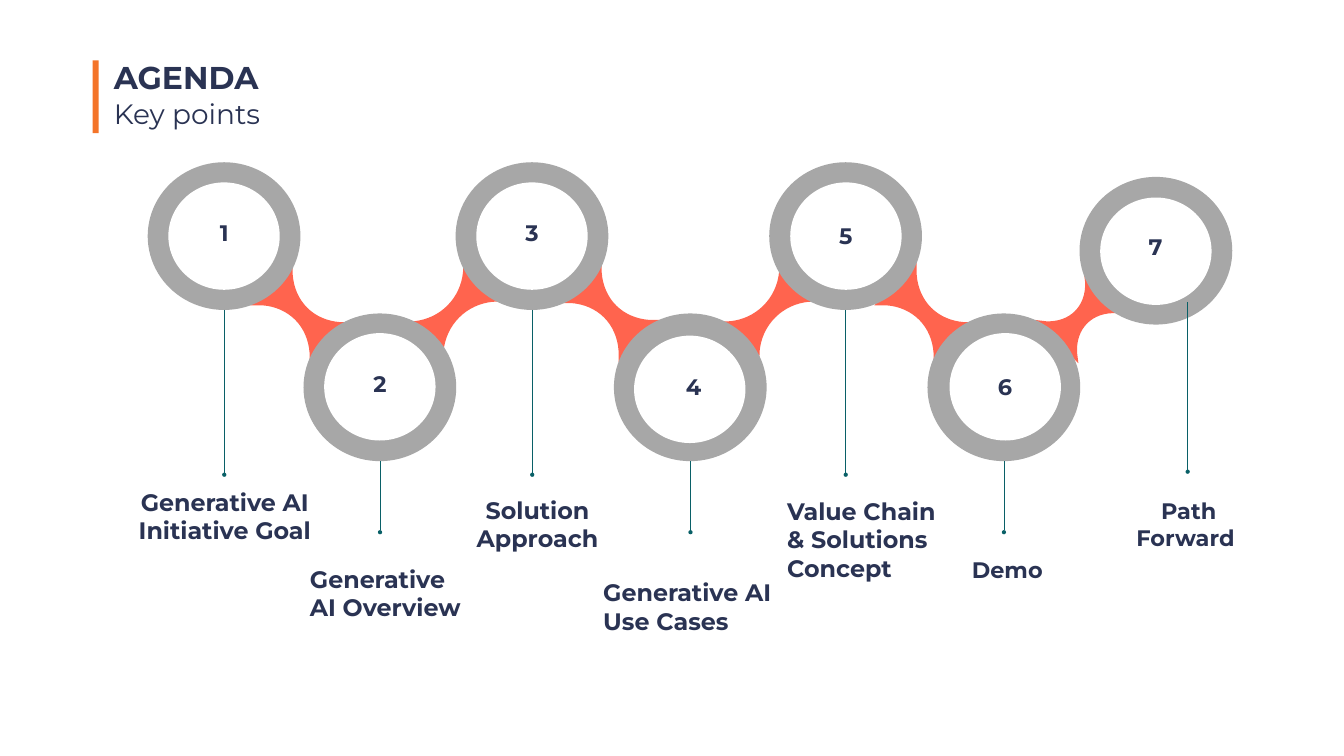
import pptx
import pptx.dml.color
import pptx.enum.shapes
import pptx.enum.text
import pptx.oxml
import pptx.oxml.ns
import pptx.util
from pptx.util import Pt

NAVY, ORANGE, CORAL = "2A3353", "F47429", "FF644E"
GREY, WHITE, TEAL = "A7A7A7", "FFFFFF", "096067"
SHAPES = pptx.enum.shapes.MSO_SHAPE
ALIGN = pptx.enum.text.PP_ALIGN
ANCHOR = pptx.enum.text.MSO_ANCHOR


def paint(shape, color):
    shape.shadow.inherit = False
    shape.fill.solid()
    shape.fill.fore_color.rgb = pptx.dml.color.RGBColor.from_string(color)
    shape.line.fill.background()


def add_text(left, top, width, height, lines, size, bold=True, align=ALIGN.LEFT,
             inset=0, wrap=True, spacing=1.0):
    frame = slide.shapes.add_textbox(Pt(left), Pt(top), Pt(width), Pt(height)).text_frame
    frame.word_wrap = wrap
    frame.vertical_anchor = ANCHOR.MIDDLE
    frame.margin_left = frame.margin_right = Pt(inset)
    frame.margin_top = frame.margin_bottom = Pt(inset)
    frame.text = lines
    for paragraph in frame.paragraphs:
        paragraph.alignment = align
        paragraph.line_spacing = spacing
        paragraph.font.name = "Montserrat"
        paragraph.font.size = Pt(size)
        paragraph.font.bold = bold
        paragraph.font.color.rgb = pptx.dml.color.RGBColor.from_string(NAVY)


presentation = pptx.Presentation()
presentation.slide_width, presentation.slide_height = Pt(1920), Pt(1080)
slide = presentation.slides.add_slide(presentation.slide_layouts[6])

# Heading with its accent bar
bar = slide.shapes.add_shape(SHAPES.RECTANGLE, Pt(132.5), Pt(86.4), Pt(8.6), Pt(103.7))
paint(bar, ORANGE)
add_text(158.4, 77.8, 1603, 64, "AGENDA", 45, inset=4.3)
add_text(158.4, 139.2, 1603, 52.6, "Key points", 40, bold=False, inset=4.3, spacing=0.9)

# Bridges: a quarter outline (line, then a cubic curve) mirrored both ways and turned
falling = [(-59.7, -42.7), (-47.8, -30.8), (-34, -18.9), (-17.3, -12.2), (0, -12.2)]
rising = [(-61.8, -41.3), (-49.4, -29.8), (-35.4, -18.4), (-18.3, -12), (0, -12)]
short_rising = [(-49.2, -43.7), (-39.5, -31.3), (-28.3, -19.1), (-14.5, -12.4), (0, -12.4)]
bridges = [(1544.4, 453.2, short_rising, 315), (1321.6, 448.2, falling, 45),
           (1099.1, 445, rising, 315), (871.6, 445, falling, 45),
           (647.6, 445, rising, 315), (430.2, 448.2, falling, 45)]
for center_x, center_y, quarter, rotation in bridges:
    edge = quarter + [(-x, y) for x, y in reversed(quarter[:-1])]
    outline = edge + [(-x, -y) for x, y in edge]
    points = [(Pt(center_x + x), Pt(center_y + y)) for x, y in outline]
    builder = slide.shapes.build_freeform(*points[0])
    builder.add_line_segments(points[1:], close=True)
    bridge = builder.convert_to_shape()
    bridge.rotation = rotation
    paint(bridge, CORAL)

    # Join each three inner points into one cubic curve
    segments = bridge._element.findall(".//" + pptx.oxml.ns.qn("a:lnTo"))
    for first in (1, 4, 10, 13):
        curve = pptx.oxml.parse_xml(f'<a:cubicBezTo {pptx.oxml.ns.nsdecls("a")}/>')
        segments[first].addprevious(curve)
        for segment in segments[first:first + 3]:
            curve.append(segment[0])
            segment.getparent().remove(segment)

# Stops: ring left and top, disc offset, number centre, stem x, start and end
RING_WIDTH, RING_HEIGHT, DISC_WIDTH, DISC_HEIGHT = 218.2, 211, 159.1, 153.4
stops = [
    (211, 231.8, 29.5, 28.8, 320.4, 332.6, 320.4, 435.6, 678.2),
    (433.6, 447.8, 29.5, 28.1, 543, 548.6, 542.9, 658.1, 760.3),
    (650.9, 231.8, 29.5, 28.8, 760, 332.6, 760.3, 435.6, 678.2),
    (877, 447.8, 28.8, 31.7, 991, 552, 986.4, 658.1, 760.3),
    (1098.9, 231.8, 30, 28.8, 1208.2, 336, 1208.2, 435.6, 678.2),
    (1325, 447.8, 31.5, 28.1, 1435.7, 552, 1434.2, 658.1, 760.3),
    (1542.2, 252.7, 29.5, 29.5, 1651, 352.8, 1696.7, 432, 673.9),
]
for number, stop in enumerate(stops, 1):
    left, top, disc_x, disc_y, number_x, number_y, stem_x, stem_top, stem_bottom = stop
    ring = slide.shapes.add_shape(SHAPES.OVAL, Pt(left), Pt(top), Pt(RING_WIDTH), Pt(RING_HEIGHT))
    paint(ring, GREY)
    disc = slide.shapes.add_shape(SHAPES.OVAL, Pt(left + disc_x), Pt(top + disc_y),
                                  Pt(DISC_WIDTH), Pt(DISC_HEIGHT))
    paint(disc, WHITE)
    add_text(number_x - 17, number_y - 23, 34, 46, str(number), 32,
             align=ALIGN.CENTER, wrap=False)

    # Stem with a dot at its lower end; only the last one starts inside its ring
    start = stem_top if number == len(stops) else top + RING_HEIGHT
    stem = slide.shapes.add_connector(pptx.enum.shapes.MSO_CONNECTOR.STRAIGHT,
                                      Pt(stem_x), Pt(start), Pt(stem_x), Pt(stem_bottom))
    stem.line.width = Pt(0.75)
    stem.line.color.rgb = pptx.dml.color.RGBColor.from_string(TEAL)
    namespace = pptx.oxml.ns.nsdecls("a")
    stem.line._get_or_add_ln().append(
        pptx.oxml.parse_xml(f'<a:tailEnd {namespace} type="oval"/>'))
    stem._element.spPr.append(pptx.oxml.parse_xml(f"<a:effectLst {namespace}/>"))

# Labels: left, vertical centre, width, height, text, size, alignment
labels = [
    (182.2, 737, 277.9, 50.4, "Generative AI Initiative Goal", 34, ALIGN.CENTER),
    (428.4, 847, 252.7, 77.8, "Generative AI Overview", 34, ALIGN.LEFT),
    (662.4, 748.5, 211, 141.8, "Solution\nApproach", 34, ALIGN.CENTER),
    (847.4, 866.2, 277.9, 50.4, "Generative AI Use Cases", 34, ALIGN.LEFT),
    (1110.2, 770.5, 277.9, 53.3, "Value Chain\n& Solutions Concept", 34, ALIGN.LEFT),
    (1309, 814, 260, 50.4, "Demo", 32, ALIGN.CENTER),
    (1600.6, 749.2, 195.1, 141.8, "Path\nForward ", 32, ALIGN.CENTER),
]
for left, center_y, width, height, label, size, align in labels:
    add_text(left, center_y - height / 2, width, height, label, size,
             align=align, inset=14.4)

presentation.save("out.pptx")
